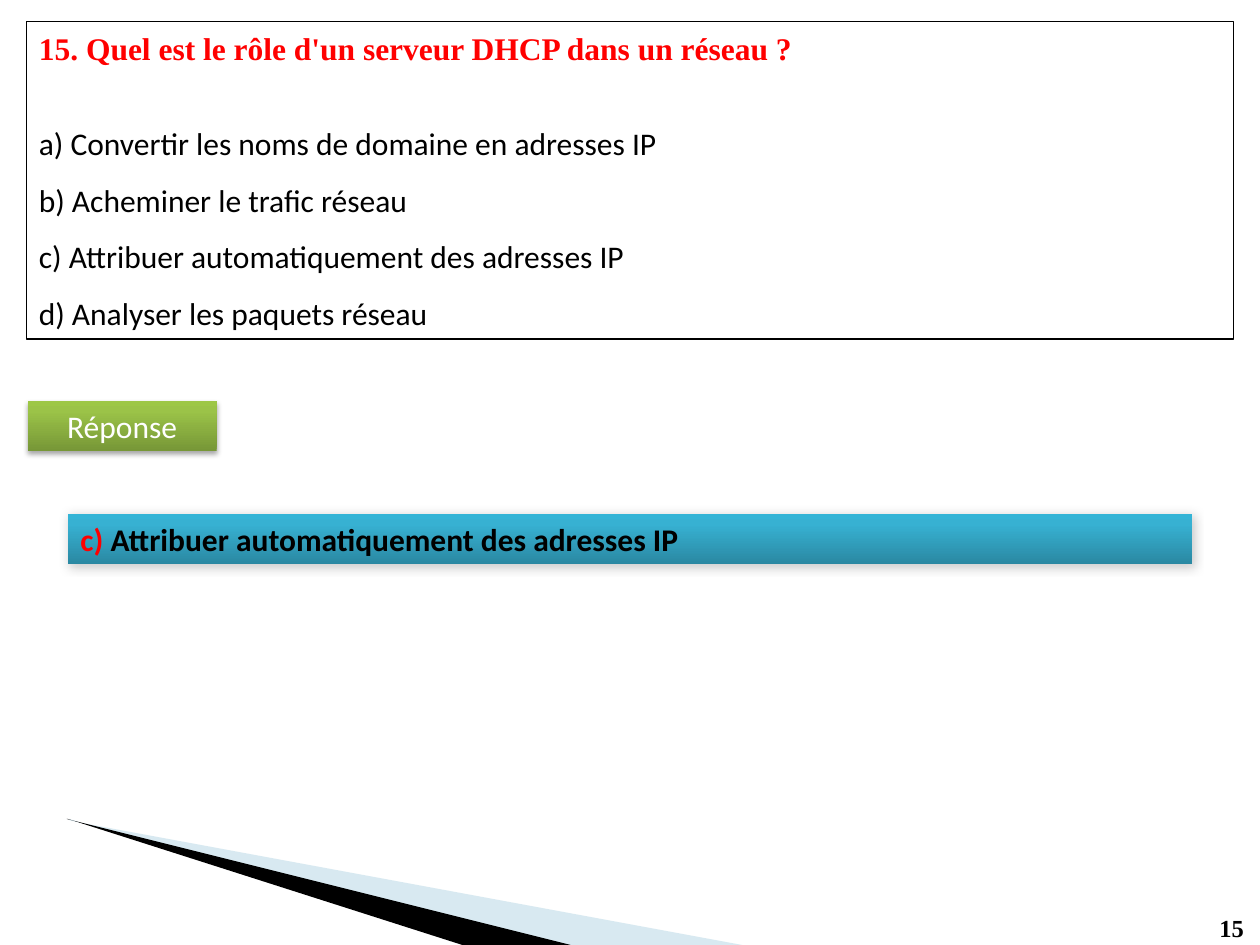
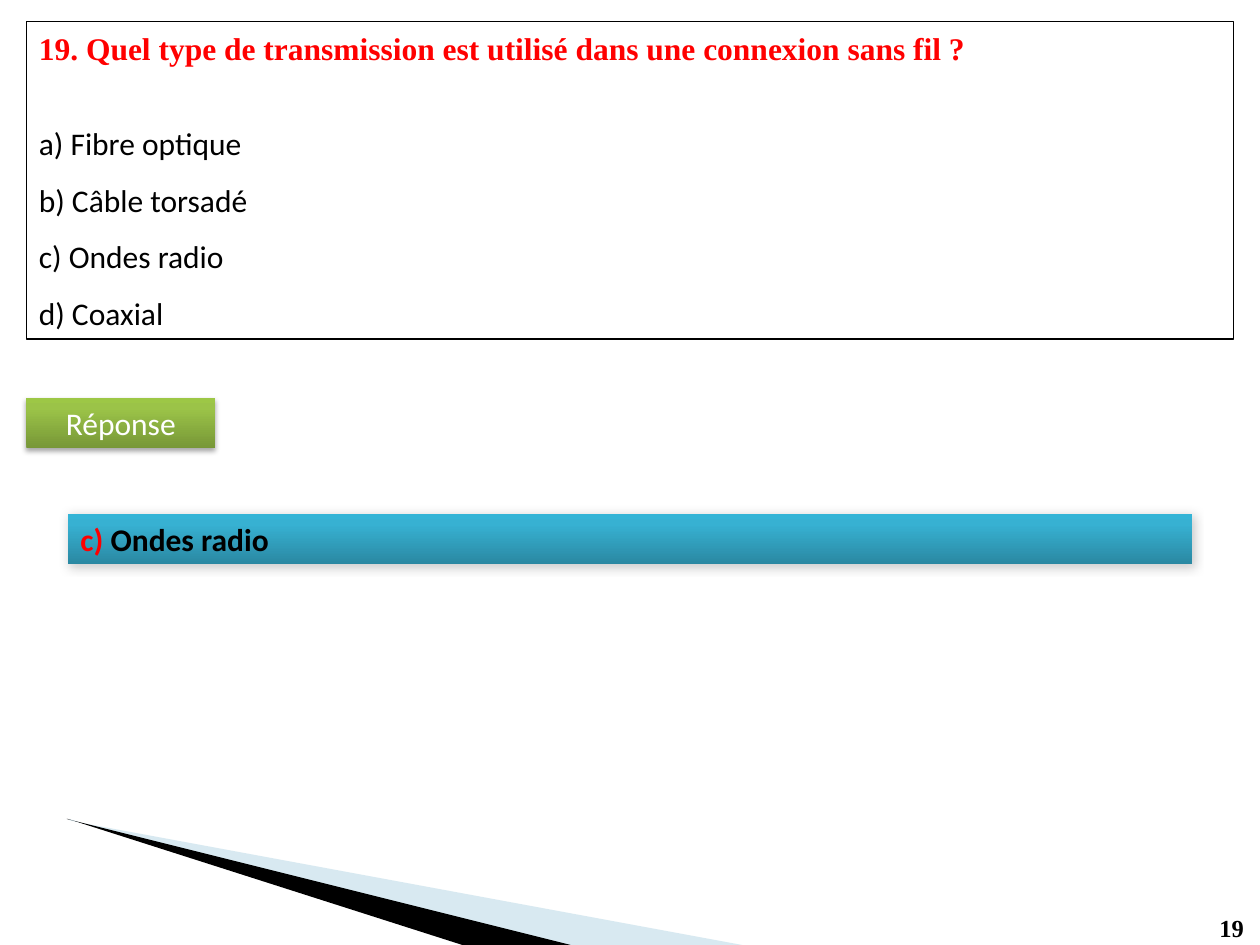
from copy import deepcopy
from dataclasses import dataclass

from lxml import etree
from pptx import Presentation
from pptx.dml.color import RGBColor
from pptx.enum.shapes import MSO_SHAPE
from pptx.enum.text import MSO_ANCHOR, PP_ALIGN
from pptx.oxml.ns import qn
from pptx.util import Inches, Pt

RECTANGLE = MSO_SHAPE.RECTANGLE
MIDDLE = MSO_ANCHOR.MIDDLE
LEFT, CENTER, JUSTIFY = PP_ALIGN.LEFT, PP_ALIGN.CENTER, PP_ALIGN.JUSTIFY

# Content: the number is both the question's and the page's
QUIZ = [
    {
        "number": 15,
        "question": "Quel est le rôle d'un serveur DHCP dans un réseau ?",
        "options": [
            "Convertir les noms de domaine en adresses IP",
            "Acheminer le trafic réseau",
            "Attribuer automatiquement des adresses IP",
            "Analyser les paquets réseau",
        ],
        "answer": "c",
        "button_at": (0.22, 3.18),
    },
    {
        "number": 19,
        "question": "Quel type de transmission est utilisé dans une connexion sans fil ?",
        "options": ["Fibre optique", "Câble torsadé", "Ondes radio", "Coaxial"],
        "answer": "c",
        "button_at": (0.21, 3.16),
    },
]
LETTERS = "abcd"
BUTTON_LABEL = "Réponse"


@dataclass(frozen=True)
class Theme:
    black: str = "000000"
    white: str = "FFFFFF"
    red: str = "FF0000"
    pale_wedge: str = "9FCADC"
    green: tuple = ((0, "779737"), (0.8, "9BC348"), (1, "9DC746"))
    blue: tuple = ((0, "2A88A2"), (0.8, "37B1D2"), (1, "34B4D6"))
    # opacity %, blur pt, distance pt, direction in degrees
    button_shadow: tuple = (35, 3.1, 1.8, 90)
    answer_shadow: tuple = (20, 6, 1, 45)
    serif: str = "Times New Roman"
    sans: str = "Calibri"
    body: int = 18
    page_number: int = 14
    option_spacing: float = 1.5
    question_gap: int = 22


THEME = Theme()

# Layout in inches
WIDTH, HEIGHT = 10, 7.5
QUESTION_MARGIN, ANSWER_MARGIN = 0.21, 0.54
QUESTION_TOP, QUESTION_HEIGHT = 0.17, 2.52
ANSWER_TOP, BAR_HEIGHT, BUTTON_WIDTH = 4.08, 0.4, 1.5
NUMBER_BOX = (9.58, 7.2, 0.4, 0.34)
PALE_WEDGE = [
    [(0.64, 6.53), (4.51, HEIGHT), (5.89, HEIGHT)],
    [(0.55, 6.5), (0.55, 6.51), (0.64, 6.53)],
]
BLACK_WEDGE = [[(0.53, 6.5), (0.54, 6.5), (3.67, HEIGHT), (4.53, HEIGHT)]]


def rgb(value):
    return RGBColor.from_string(value)


def add_span(para, text, color, font=THEME.sans, size=THEME.body, bold=False):
    span = para.add_run()
    span.text = text
    span.font.name = font
    span.font.size = Pt(size)
    span.font.bold = bold
    span.font.color.rgb = rgb(color)


def add_effect(parent, tag, **attributes):
    return etree.SubElement(parent, qn(tag), {k: str(v) for k, v in attributes.items()})


def add_wedge(page, contours, color, opacity=None):
    first, *others = [[(Inches(x), Inches(y)) for x, y in points] for points in contours]
    builder = page.shapes.build_freeform(*first[0], scale=1.0)
    builder.add_line_segments(first[1:], close=True)
    for points in others:
        builder.move_to(*points[0])
        builder.add_line_segments(points[1:], close=True)
    wedge = builder.convert_to_shape()
    wedge.shadow.inherit = False
    wedge.line.fill.background()
    wedge.fill.solid()
    wedge.fill.fore_color.rgb = rgb(color)
    if opacity is not None:
        paint = wedge._element.spPr.find(qn("a:solidFill"))[0]
        add_effect(paint, "a:alpha", val=opacity * 1000)


def add_box(page, left, top, width, height, align=LEFT):
    box = page.shapes.add_shape(RECTANGLE, *map(Inches, (left, top, width, height)))
    box.shadow.inherit = False
    box.fill.background()
    box.line.fill.background()
    frame = box.text_frame
    frame.word_wrap = True
    frame.vertical_anchor = MIDDLE
    frame.paragraphs[0].alignment = align
    return box


def add_bar(page, bounds, colors, shadow, align):
    bar = add_box(page, *bounds, align=align)
    # Three-stop gradient, darkest at the bottom
    bar.fill.gradient()
    bar.fill.gradient_angle = 90
    stop_list = bar._element.spPr.find(".//" + qn("a:gsLst"))
    stop_list.append(deepcopy(stop_list[-1]))
    for stop, (position, color) in zip(bar.fill.gradient_stops, colors):
        stop.position = position
        stop.color.rgb = rgb(color)
    # Soft outer shadow
    opacity, blur, distance, direction = shadow
    effects = bar._element.spPr.find(qn("a:effectLst"))
    outer = add_effect(effects, "a:outerShdw", blurRad=Pt(blur), dist=Pt(distance),
                       dir=direction * 60000, rotWithShape=0)
    paint = add_effect(outer, "a:srgbClr", val=THEME.black)
    add_effect(paint, "a:alpha", val=opacity * 1000)
    return bar.text_frame.paragraphs[0]


def add_frame(page, number):
    """Corner wedges and page number shared by every page."""
    add_wedge(page, PALE_WEDGE, THEME.pale_wedge, opacity=40)
    add_wedge(page, BLACK_WEDGE, THEME.black)
    box = page.shapes.add_textbox(*map(Inches, NUMBER_BOX))
    box.text_frame.word_wrap = True
    box.text_frame.margin_right = 0
    add_span(box.text_frame.paragraphs[0], str(number), THEME.black,
             THEME.serif, THEME.page_number, bold=True)


def add_question(page, item):
    box = add_box(page, QUESTION_MARGIN, QUESTION_TOP,
                  WIDTH - 2 * QUESTION_MARGIN, QUESTION_HEIGHT)
    box.line.color.rgb = rgb(THEME.black)
    box.line.width = Pt(0.75)
    para = box.text_frame.paragraphs[0]
    para.space_after = Pt(THEME.question_gap)
    add_span(para, f"{item['number']}. {item['question']}", THEME.red, THEME.serif, bold=True)
    for letter, option in zip(LETTERS, item["options"]):
        para = box.text_frame.add_paragraph()
        para.alignment = LEFT
        para.line_spacing = THEME.option_spacing
        add_span(para, f"{letter}) {option}", THEME.black)


def add_answer(page, item):
    button = add_bar(page, (*item["button_at"], BUTTON_WIDTH, BAR_HEIGHT),
                     THEME.green, THEME.button_shadow, CENTER)
    add_span(button, BUTTON_LABEL, THEME.white)
    answer = add_bar(page, (ANSWER_MARGIN, ANSWER_TOP, WIDTH - 2 * ANSWER_MARGIN, BAR_HEIGHT),
                     THEME.blue, THEME.answer_shadow, JUSTIFY)
    add_span(answer, f"{item['answer']}) ", THEME.red, bold=True)
    correct = item["options"][LETTERS.index(item["answer"])]
    add_span(answer, correct, THEME.black, bold=True)


def main():
    deck = Presentation()
    deck.slide_width, deck.slide_height = Inches(WIDTH), Inches(HEIGHT)
    blank = deck.slide_layouts[6]
    for item in QUIZ:
        page = deck.slides.add_slide(blank)
        add_frame(page, item["number"])
        add_question(page, item)
        add_answer(page, item)
    deck.save("out.pptx")


if __name__ == "__main__":
    main()
